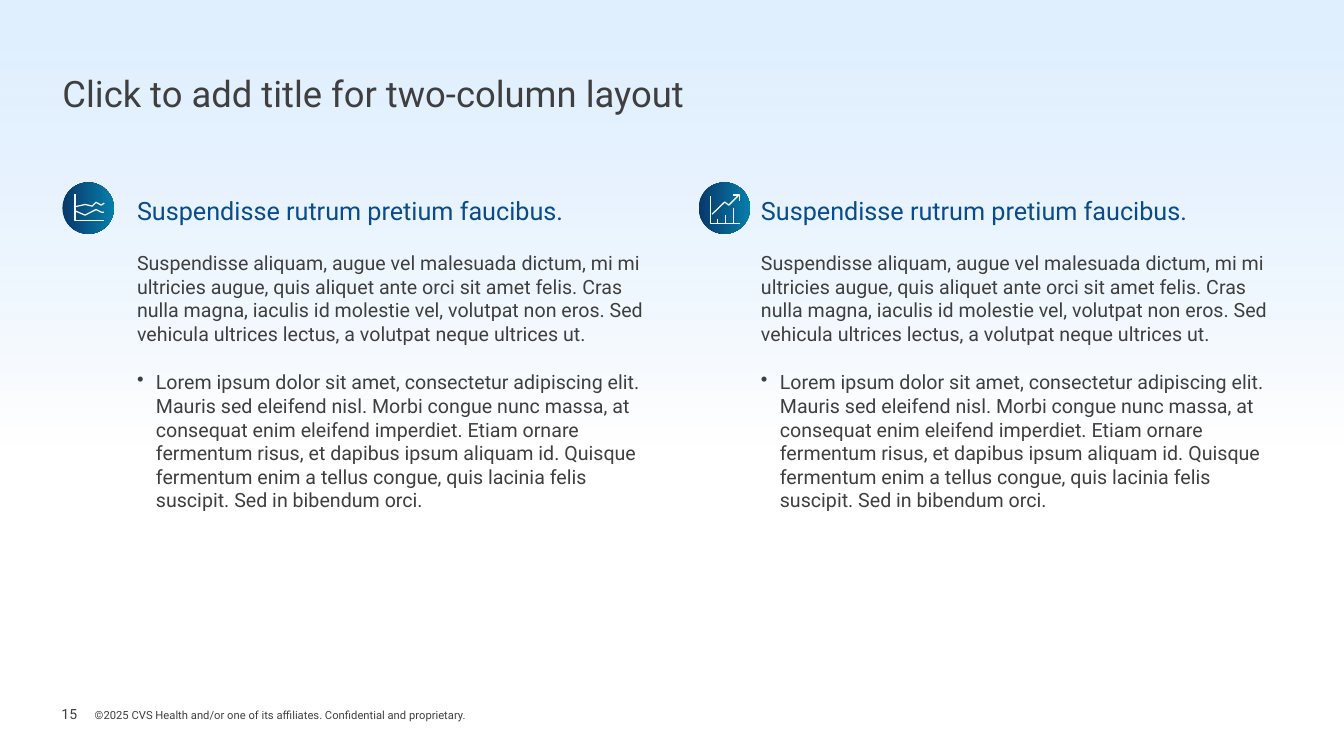
import pptx
import pptx.dml.color
import pptx.enum.shapes
import pptx.enum.text
import pptx.oxml.ns
import pptx.util
from lxml import etree

Pt = pptx.util.Pt
Shape = pptx.enum.shapes.MSO_SHAPE
Anchor = pptx.enum.text.MSO_ANCHOR
qn = pptx.oxml.ns.qn

FONT = "Roboto"
COLORS = {
    "text": "3F3F3F", "head": "0A4B8C", "sky": "CCE6FF", "white": "FFFFFF",
    "navy": "083869", "teal": "077DAA", "icon": "F7F7F7",
}
HEAD = "Suspendisse rutrum pretium faucibus."
INTRO = (
    "Suspendisse aliquam, augue vel malesuada dictum, mi mi ultricies augue, "
    "quis aliquet ante orci sit amet felis. Cras nulla magna, iaculis id "
    "molestie vel, volutpat non eros. Sed vehicula ultrices lectus, a volutpat "
    "neque ultrices ut."
)
POINT = (
    "Lorem ipsum dolor sit amet, consectetur adipiscing elit. Mauris sed "
    "eleifend nisl. Morbi congue nunc massa, at consequat enim eleifend "
    "imperdiet. Etiam ornare fermentum risus, et dapibus ipsum aliquam id. "
    "Quisque fermentum enim a tellus congue, quis lacinia felis suscipit. "
    "Sed in bibendum orci."
)
# Icon strokes, in points from the corner of the disc
WAVES = [
    [(9, 8.6), (9, 27.4), (29.5, 27.4)],
    [(9.4, 17.3), (16.2, 15.8), (21.2, 16.9), (23.9, 14.2), (27.7, 16.2), (29.9, 14.8)],
    [(9.4, 20.5), (16.2, 23.4), (24, 19.4), (27.8, 21.3), (29.6, 21.3)],
]
GROWTH = [
    [(8.3, 10), (8.3, 29.2), (29.5, 29.2)],
    [(13.3, 25.9), (13.3, 29.2)],
    [(19.1, 23), (19.1, 29.2)],
    [(24.8, 18), (24.8, 29.2)],
    [(9.7, 22.7), (18.7, 14), (21.6, 16.2), (28.4, 9.4)],
    [(24.5, 9), (29.2, 9), (29.2, 13)],
]


def color(name):
    return pptx.dml.color.RGBColor.from_string(COLORS[name])


def add_box(slide, x, y, w, h, anchor=Anchor.TOP):
    frame = slide.shapes.add_textbox(Pt(x), Pt(y), Pt(w), Pt(h)).text_frame
    frame.word_wrap = True
    frame.vertical_anchor = anchor
    frame.margin_left = frame.margin_right = 0
    frame.margin_top = frame.margin_bottom = 0
    return frame


def add_text(frame, text, size=14, tint="text", before=0, line=None, bullet=False):
    para = frame.paragraphs[0]
    if para.runs:
        para = frame.add_paragraph()
    if before:
        para.space_before = Pt(before)
    if line:
        para.line_spacing = line
    if bullet:
        props = para._p.get_or_add_pPr()
        props.set("marL", str(Pt(13.5)))
        props.set("indent", str(-Pt(13.5)))
        etree.SubElement(props, qn("a:buChar")).set("char", "•")
    run = para.add_run()
    run.text = text
    run.font.name = FONT
    run.font.size = Pt(size)
    run.font.color.rgb = color(tint)


def add_fade(slide, kind, x, y, w, h, tints, angle=0, alpha=None):
    shape = slide.shapes.add_shape(kind, Pt(x), Pt(y), Pt(w), Pt(h))
    shape.shadow.inherit = False
    shape.line.fill.background()
    shape.fill.gradient()
    shape.fill.gradient_angle = angle
    for stop, tint, place in zip(shape.fill.gradient_stops, tints, (0, 1)):
        stop.color.rgb = color(tint)
        stop.position = place
    if alpha:
        first = next(shape._element.spPr.iter(qn("a:srgbClr")))
        etree.SubElement(first, qn("a:alpha")).set("val", str(alpha * 1000))


def add_icon(slide, x, y, strokes):
    add_fade(slide, Shape.OVAL, x, y, 36.7, 36.7, ("navy", "teal"))
    paths = [[(Pt(x + dx), Pt(y + dy)) for dx, dy in stroke] for stroke in strokes]
    pen = slide.shapes.build_freeform(*paths[0][0])
    for path in paths:
        if path is not paths[0]:
            pen.move_to(*path[0])
        pen.add_line_segments(path[1:], close=False)
    shape = pen.convert_to_shape()
    shape.shadow.inherit = False
    shape.fill.background()
    shape.line.color.rgb = color("icon")
    shape.line.width = Pt(0.9)


def add_column(slide, x, width):
    frame = add_box(slide, x, 139.7, width, 313.2)
    add_text(frame, HEAD, size=18, tint="head")
    add_text(frame, INTRO, before=18)
    add_text(frame, POINT, before=18, bullet=True)


def main():
    deck = pptx.Presentation()
    deck.slide_width, deck.slide_height = Pt(960), Pt(540)
    slide = deck.slides.add_slide(deck.slide_layouts[6])

    # Sky fading to white
    add_fade(slide, Shape.RECTANGLE, 0, 0, 960, 316.8, ("sky", "white"), 270, alpha=60)

    # Footer
    add_text(add_box(slide, 43.9, 501.1, 28.1, 18, Anchor.MIDDLE), "15", size=10)
    add_text(
        add_box(slide, 67.7, 506.2, 633.6, 9.4, Anchor.BOTTOM),
        "©2025 CVS Health and/or one of its affiliates. Confidential and proprietary.",
        size=8,
    )

    # Title
    add_text(
        add_box(slide, 44.6, 54, 786.2, 56.2),
        "Click to add title for two-column layout", size=26, line=0.9,
    )

    # Two columns with their icons
    add_column(slide, 97.9, 364.3)
    add_column(slide, 543.6, 371.5)
    add_icon(slide, 44.6, 130.3, WAVES)
    add_icon(slide, 499, 130.3, GROWTH)

    deck.save("out.pptx")


if __name__ == "__main__":
    main()
